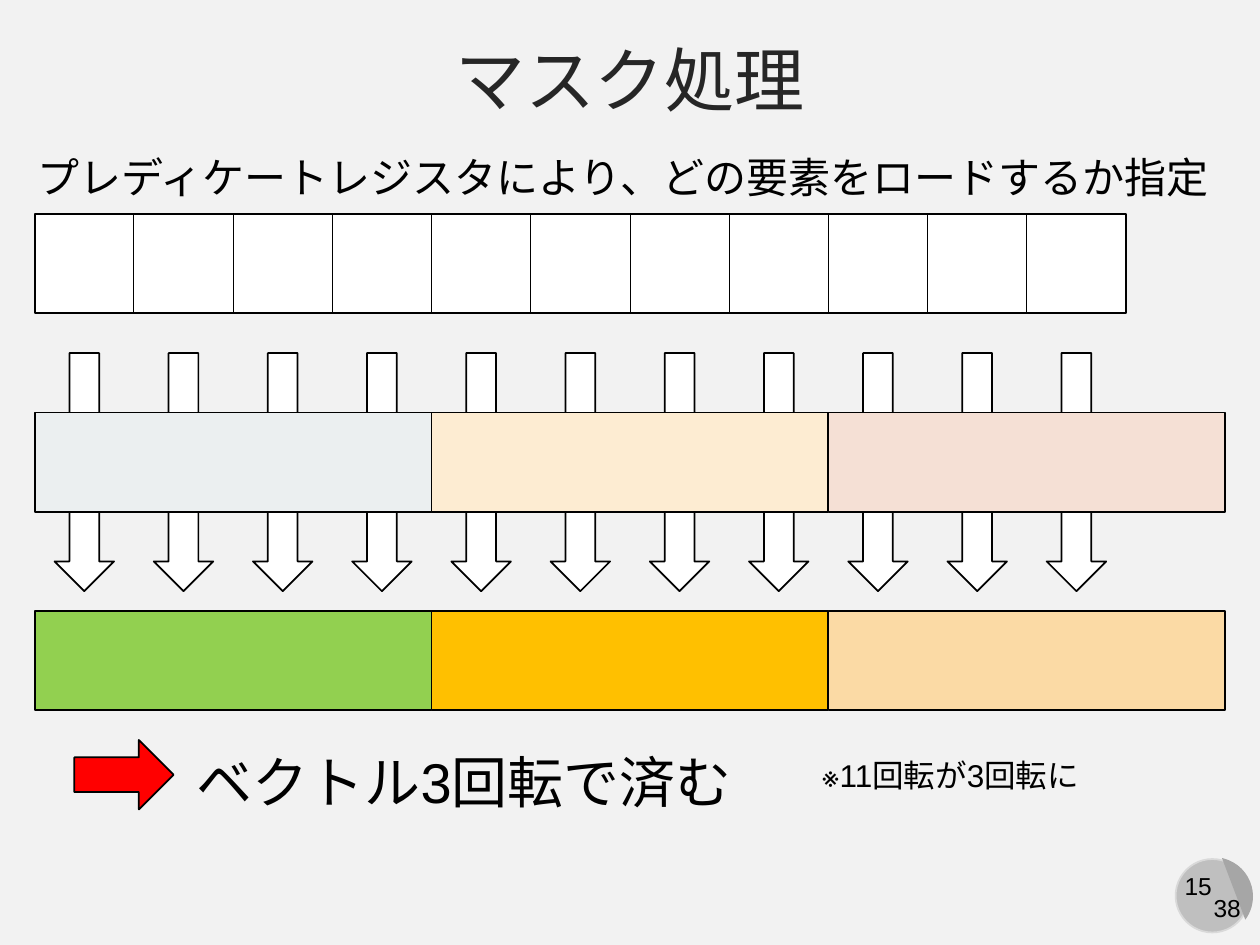
from dataclasses import dataclass
from pptx import Presentation
from pptx.dml.color import RGBColor as Color
from pptx.enum.shapes import MSO_CONNECTOR as Connector, MSO_SHAPE as Shape
from pptx.enum.text import MSO_ANCHOR as Anchor, PP_ALIGN as Align
from pptx.oxml.ns import qn
from pptx.util import Cm, Inches, Pt
from lxml.etree import SubElement


@dataclass(frozen=True)
class Theme:
    font: str = "Arial"
    backdrop: str = "F2F2F2"
    ink: str = "000000"
    title_ink: str = "262626"
    paper: str = "FFFFFF"
    alert: str = "FF0000"
    badge: str = "BFBFBF"
    badge_edge: str = "D9D9D9"
    badge_shade: str = "A6A6A6"
    registers: tuple = ("EBEFF0", "FDECD2", "F5E0D5")
    results: tuple = ("92D050", "FFC000", "FBDAA5")
    title_size: int = 40
    lead_size: int = 24
    result_size: int = 32
    note_size: int = 18
    number_size: int = 14


theme = Theme()
deck = Presentation()
deck.slide_width, deck.slide_height = Inches(10), Inches(7.5)
page = deck.slides.add_slide(deck.slide_layouts[6])
page.background.fill.solid()
page.background.fill.fore_color.rgb = Color.from_string(theme.backdrop)

cell = Cm(2)
elements = 11
lanes = 4
grid_left = (deck.slide_width - 3 * lanes * cell) // 2
grid_top = Inches(1.7)
register_row, result_row = 2, 4


def add_block(kind, column, row, columns, rows, fill, edge=theme.ink):
    block = page.shapes.add_shape(
        kind, int(grid_left + column * cell), int(grid_top + row * cell),
        int(columns * cell), int(rows * cell))
    block.shadow.inherit = False
    block.fill.solid()
    block.fill.fore_color.rgb = Color.from_string(fill)
    if edge:
        block.line.color.rgb = Color.from_string(edge)
        block.line.width = Pt(1)
    else:
        block.line.fill.background()
    return block


def add_label(text, left, top, width, height, size, align=Align.LEFT, ink=theme.ink):
    box = page.shapes.add_textbox(
        int(deck.slide_width * left / 100), int(deck.slide_height * top / 100),
        int(deck.slide_width * width / 100), int(deck.slide_height * height / 100))
    frame = box.text_frame
    frame.word_wrap = True
    frame.text = text
    para = frame.paragraphs[0]
    para.alignment = align
    span = para.runs[0]
    span.font.name = theme.font
    span.font.size = Pt(size)
    span.font.color.rgb = Color.from_string(ink)
    return box


add_block(Shape.OVAL, 11.5, 6.5, 0.74, 0.74, theme.badge, theme.badge_edge)
add_label("15", 92.9, 91.47, 4.4, 4.53, theme.number_size, Align.CENTER)
shade = add_block(Shape.CHORD, 11.49, 6.48, 0.79, 0.79, theme.badge_shade, None)
shade.rotation = 255
shade.adjustments[0] = 27 * 0.6
shade.adjustments[1] = 141.42 * 0.6
add_label("38", 95.3, 93.87, 4.2, 4.53, theme.number_size, Align.CENTER)

for element in range(elements):
    add_block(Shape.DOWN_ARROW, element + 0.2, 1.4, 0.6, 2.4, theme.paper)

title = add_label("マスク処理", 0, 2.8, 100, 10.93, theme.title_size,
                  Align.CENTER, theme.title_ink)
title.text_frame.vertical_anchor = Anchor.MIDDLE

add_block(Shape.RECTANGLE, 0, 0, elements, 1, theme.paper)
for element in range(1, elements):
    across = grid_left + element * cell
    divider = page.shapes.add_connector(
        Connector.STRAIGHT, across, grid_top, across, grid_top + cell)
    divider.line.color.rgb = Color.from_string(theme.ink)
    divider.line.width = Pt(0.5)
    SubElement(divider._element.spPr, qn("a:effectLst"))

for row, fills in ((result_row, theme.results), (register_row, theme.registers)):
    for index, fill in enumerate(fills):
        add_block(Shape.RECTANGLE, index * lanes, row, lanes, 1, fill)

add_label("プレディケートレジスタにより、どの要素をロードするか指定",
          2, 15.33, 96.3, 6.67, theme.lead_size)
add_label("ベクトル3回転で済む", 14.6, 78.4, 44.9, 8.53, theme.result_size)
add_block(Shape.RIGHT_ARROW, 0.4, 5.3, 1, 0.7, theme.alert)
add_label("※11回転が3回転に", 64.2, 79.33, 23.7, 5.33, theme.note_size)

deck.save("out.pptx")
